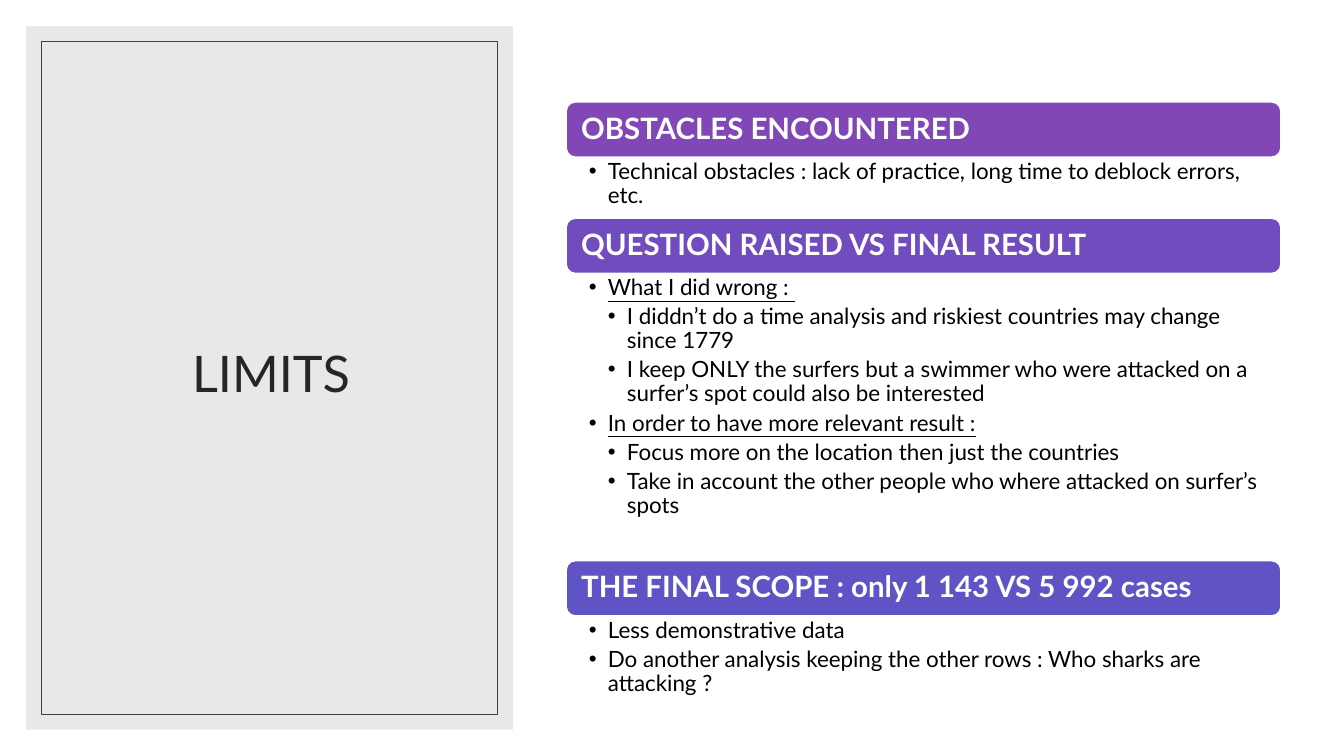
from pptx import Presentation
from pptx.dml.color import RGBColor
from pptx.enum.shapes import MSO_SHAPE
from pptx.enum.text import MSO_ANCHOR, MSO_AUTO_SIZE, PP_ALIGN
from pptx.util import Cm, Pt
from lxml.etree import SubElement
from pptx.oxml.ns import qn

BAR = 1.39
STEP = 0.48
TOPICS = [
    ("OBSTACLES ENCOUNTERED", "8247B6", 1.54, [
        (0, "Technical obstacles : lack of practice, long time to deblock errors, etc."),
    ]),
    ("QUESTION RAISED VS FINAL RESULT", "714CBE", 7.24, [
        (0, "What I did wrong : "),
        (1, "I diddn’t do a time analysis and riskiest countries may change since 1779"),
        (1, "I keep ONLY the surfers but a swimmer who were attacked on a surfer’s spot could also be interested"),
        (0, "In order to have more relevant result :"),
        (1, "Focus more on the location then just the countries"),
        (1, "Take in account the other people who where attacked on surfer’s spots"),
    ]),
    ("THE FINAL SCOPE : only 1 143 VS 5 992 cases", "6053C5", 1.54, [
        (0, "Less demonstrative data"),
        (0, "Do another analysis keeping the other rows : Who sharks are attacking ?"),
    ]),
]


def color(code):
    return RGBColor.from_string(code)


def place(shape, left, top, width, height):
    shape.left, shape.top = Cm(left), Cm(top)
    shape.width, shape.height = Cm(width), Cm(height)


def draw(slide, kind, box, fill=None, line=None, weight=1):
    shape = slide.shapes.add_shape(kind, *map(Cm, box))
    shape.shadow.inherit = False
    if fill:
        shape.fill.solid()
        shape.fill.fore_color.rgb = color(fill)
    else:
        shape.fill.background()
    if line:
        shape.line.color.rgb = color(line)
        shape.line.width = Pt(weight)
    else:
        shape.line.fill.background()
    return shape


def setup(frame, anchor, left, top, right):
    frame.word_wrap = True
    frame.auto_size = MSO_AUTO_SIZE.NONE
    frame.vertical_anchor = anchor
    frame.margin_left, frame.margin_right = Cm(left), Cm(right)
    frame.margin_top = frame.margin_bottom = Cm(top)


def style(para, size, code, bold=False, line=False, after=0):
    para.line_spacing = 0.9
    para.space_before, para.space_after = Pt(0), Pt(after)
    font = para.font
    font.name, font.size = "Lato", Pt(size)
    font.bold, font.underline = bold, line
    font.color.rgb = color(code)


def bullet(para, level):
    para.level = level
    props = para._p.get_or_add_pPr()
    props.set("marL", str(Cm(STEP * (level + 1))))
    props.set("indent", str(-Cm(STEP)))
    SubElement(props, qn("a:buFont"), typeface="Arial")
    SubElement(props, qn("a:buChar"), char="•")


def side(slide, left, top, width, height):
    title = slide.shapes.title
    panel = draw(slide, MSO_SHAPE.RECTANGLE, (left, top, width, height), "D9D9D9")
    tint = panel.fill._xPr.find(".//" + qn("a:srgbClr"))
    SubElement(tint, qn("a:alpha"), val="60000")
    title.element.addprevious(panel.element)
    gap = 0.39
    draw(slide, MSO_SHAPE.RECTANGLE,
         (left + gap, top + gap, width - 2 * gap, height - 2 * gap),
         line="404040", weight=0.5)
    place(title, left + 0.94, top + 0.89, width - 1.81, height - 1.88)
    setup(title.text_frame, MSO_ANCHOR.MIDDLE, 0.25, 0.13, 0.25)
    title.text_frame.text = "LIMITS"
    para = title.text_frame.paragraphs[0]
    para.alignment = PP_ALIGN.CENTER
    style(para, 36, "262626")


def topic(slide, body, left, top, width, height, head, fill, items):
    bar = draw(slide, MSO_SHAPE.ROUNDED_RECTANGLE,
               (left, top, width, BAR), fill, "FFFFFF")
    setup(bar.text_frame, MSO_ANCHOR.MIDDLE, 0.31, 0.24, 0.31)
    bar.text_frame.text = head
    para = bar.text_frame.paragraphs[0]
    para.alignment = PP_ALIGN.LEFT
    style(para, 21, "FFFFFF", bold=True)

    place(body, left, top + BAR, width, height)
    frame = body.text_frame
    setup(frame, MSO_ANCHOR.TOP, 0.57, 0.07, 0.4)
    frame.text = "\n".join(text for _, text in items)
    nested = any(level for level, _ in items)
    for para, (level, _) in zip(frame.paragraphs, items):
        bullet(para, level)
        style(para, 16, "000000", line=nested and level == 0, after=3.5)


def stack(slide, left, top, width):
    *bodies, spare = list(slide.placeholders)[1:]
    spare.element.getparent().remove(spare.element)
    for body, (head, fill, height, items) in zip(bodies, TOPICS):
        topic(slide, body, left, top, width, height, head, fill, items)
        top += BAR + height


def main():
    deck = Presentation()
    deck.slide_width, deck.slide_height = Cm(33.87), Cm(19.05)
    slide = deck.slides.add_slide(deck.slide_layouts.get_by_name("Comparison"))
    side(slide, 0.66, 0.66, 12.27, 17.73)
    stack(slide, 14.27, 2.57, 18.01)
    deck.save("out.pptx")


if __name__ == "__main__":
    main()
